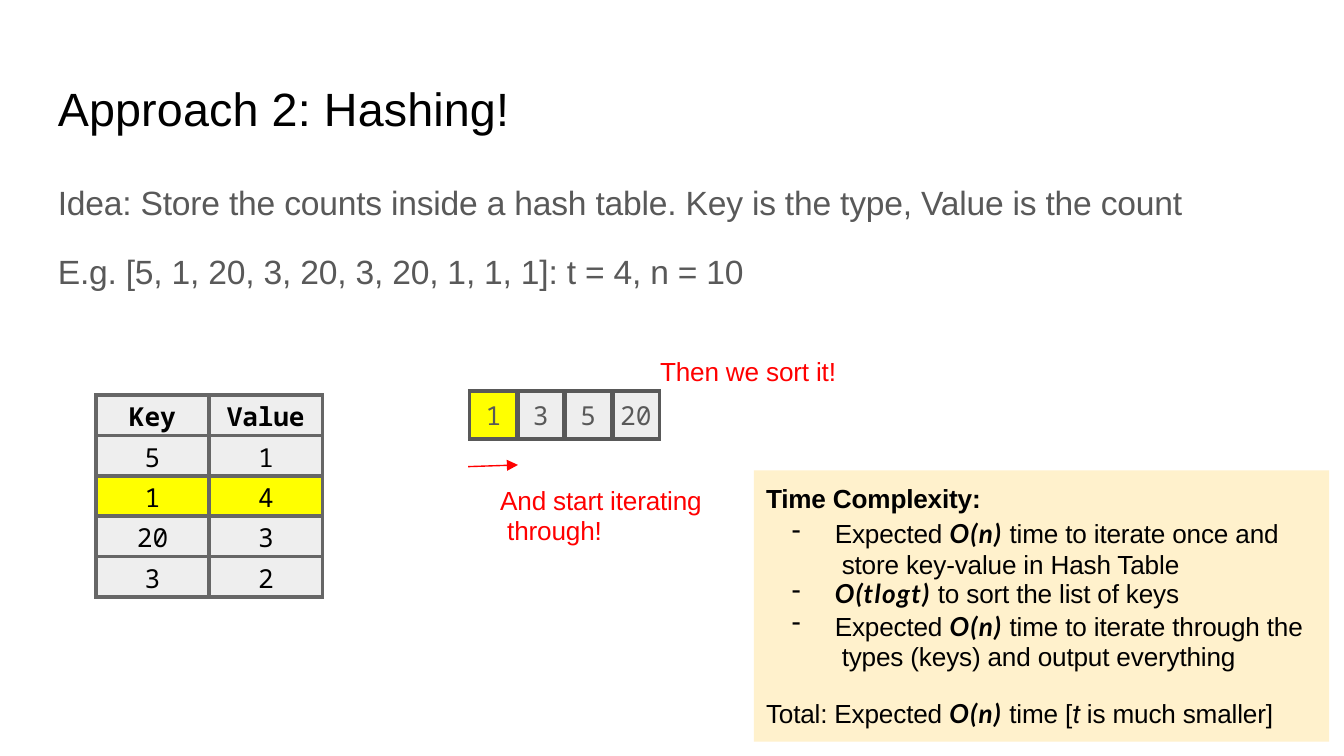
from dataclasses import dataclass

from lxml import etree
from pptx import Presentation
from pptx.dml.color import RGBColor
from pptx.enum.shapes import MSO_CONNECTOR, MSO_SHAPE
from pptx.enum.text import MSO_ANCHOR, PP_ALIGN
from pptx.oxml.ns import qn
from pptx.util import Pt

LEFT, CENTER = PP_ALIGN.LEFT, PP_ALIGN.CENTER
TOP = MSO_ANCHOR.TOP
RECTANGLE = MSO_SHAPE.RECTANGLE
STRAIGHT = MSO_CONNECTOR.STRAIGHT


@dataclass(frozen=True)
class Theme:
    black: str = "000000"
    gray: str = "595959"
    grid: str = "666666"
    cell: str = "EEEEEE"
    yellow: str = "FFFF00"
    red: str = "FF0000"
    cream: str = "FFF1CC"
    sans: str = "Arial"
    mono: str = "Noto Sans Mono"
    math: str = "Lato"
    variable: str = "Roboto"
    title: float = 25
    body: float = 18
    small: float = 14


theme = Theme()


def style(size, color, name=theme.sans, bold=False, italic=False, tracking=-0.1):
    font = {"size": Pt(size), "name": name, "bold": bold, "italic": italic}
    return font, color, tracking


HEADING = style(theme.title, theme.black, tracking=0.1)
BODY = style(theme.body, theme.gray)
NOTE = style(theme.small, theme.red)
PLAIN = style(theme.small, theme.black)
BOLD = style(theme.small, theme.black, bold=True)
BIG_O = style(theme.small, theme.black, theme.math, True, True, 0.7)
SYMBOL = style(theme.small, theme.black, theme.variable, italic=True)
KEY_HEAD = style(theme.small, theme.black, theme.mono, bold=True)
KEY_CELL = style(theme.small, theme.black, theme.mono, tracking=0)
SORTED_CELL = style(theme.small, theme.gray, theme.mono, tracking=0)


def write(frame, paragraphs, top):
    """Fill a frame with (spans, paragraph format, indents) entries."""
    settings = {"word_wrap": True, "vertical_anchor": TOP, "margin_left": 0,
                "margin_right": 0, "margin_bottom": 0, "margin_top": Pt(top)}
    for name, value in settings.items():
        setattr(frame, name, value)
    for index, (spans, layout, indents) in enumerate(paragraphs):
        para = frame.add_paragraph() if index else frame.paragraphs[0]
        for name, value in layout.items():
            setattr(para, name, value)
        for name, value in indents.items():
            para._p.get_or_add_pPr().set(name, str(Pt(value)))
        for text, (font, color, tracking) in spans:
            if text == "\n":
                para.add_line_break()
                continue
            span = para.add_run()
            span.text = text
            for name, value in font.items():
                setattr(span.font, name, value)
            span.font.color.rgb = RGBColor.from_string(color)
            span.font._element.set("spc", str(round(tracking * 100)))


deck = Presentation()
deck.slide_width, deck.slide_height = Pt(720), Pt(405)
page = deck.slides.add_slide(deck.slide_layouts[5])

# Title
title = page.shapes.title
title.left, title.top, title.width, title.height = Pt(31), Pt(39.6), Pt(250), Pt(32.4)
write(title.text_frame,
      [([("Approach 2: Hashing!", HEADING)], {"alignment": LEFT}, {})], 3)

# Panel behind the time complexity notes
panel = page.shapes.add_shape(RECTANGLE, Pt(403.9), Pt(252), Pt(308.2), Pt(145.4))
panel.shadow.inherit = False
panel.fill.solid()
panel.fill.fore_color.rgb = RGBColor.from_string(theme.cream)
panel.line.fill.background()

# Text boxes: left, top, width, height, top inset, paragraphs
fixed = {"line_spacing": Pt(16.5)}
hanging = {"marL": 24, "indent": -23}
bullets = [
    ([("Expected ", PLAIN), ("O(n) ", BIG_O), ("time to iterate once and", PLAIN),
      ("\n", PLAIN), (" store key-value in Hash Table", PLAIN)], fixed, hanging),
    ([("O(tlogt) ", BIG_O), ("to sort the list of keys", PLAIN)],
     {"line_spacing": Pt(15.8)}, hanging),
    ([("Expected ", PLAIN), ("O(n) ", BIG_O), ("time to iterate through the", PLAIN),
      ("\n", PLAIN), (" types (keys) and output everything", PLAIN)],
     {**fixed, "space_before": Pt(0.7)}, hanging),
]
boxes = [
    (31, 95.8, 620, 111.6, 1.7, [
        ([("Idea: Store the counts inside a hash table. Key is the type, "
           "Value is the count", BODY)], {}, {}),
        ([("E.g. [5, 1, 20, 3, 20, 3, 20, 1, 1, 1]: t = 4, n = 10", BODY)],
         {"space_before": Pt(15.2)}, {}),
        ([("Then we sort it!", NOTE)], {"space_before": Pt(34.6)}, {"marL": 322.6})]),
    (268, 255.6, 116, 35.3, 4, [
        ([("And start iterating", NOTE), ("\n", NOTE), (" through!", NOTE)], fixed, {})]),
    (410.4, 257, 122, 18.7, 1.7, [([("Time Complexity:", BOLD)], {}, {})]),
    (423.2, 273.6, 282, 85, 4, bullets),
    (410.4, 372.2, 282, 18.7, 1.7, [
        ([("Total: Expected ", PLAIN), ("O(n) ", BIG_O), ("time [", PLAIN),
          ("t ", SYMBOL), ("is much smaller]", PLAIN)], {}, {})]),
]
for left, top, width, height, inset, paragraphs in boxes:
    box = page.shapes.add_textbox(Pt(left), Pt(top), Pt(width), Pt(height))
    write(box.text_frame, paragraphs, inset)
    if paragraphs is bullets:
        for para in box.text_frame.paragraphs:
            mark = etree.SubElement(para._p.get_or_add_pPr(), qn("a:buChar"))
            mark.set("char", "-")

# Hash table and sorted keys: left, top, cell width, row height, inset,
# border colour, highlighted (row, column) cells, head style, cell style, rows
tables = [
    (51.4, 211.7, 60.7, 21.6, 2, theme.grid, [(2, 0), (2, 1)], KEY_HEAD, KEY_CELL,
     [["Key", "Value"], ["5", "1"], ["1", "4"], ["20", "3"], ["3", "2"]]),
    (251.6, 209.6, 25.45, 25.5, 3.6, theme.gray, [(0, 0)], SORTED_CELL, SORTED_CELL,
     [["1", "3", "5", "20"]]),
]
for left, top, width, height, inset, border, marked, head, plain, rows in tables:
    count = len(rows[0])
    grid = page.shapes.add_table(len(rows), count, Pt(left), Pt(top),
                                 Pt(width * count), Pt(height * len(rows))).table
    for column in grid.columns:
        column.width = Pt(width)
    for r, row in enumerate(rows):
        grid.rows[r].height = Pt(height)
        for c, text in enumerate(row):
            cell = grid.cell(r, c)
            write(cell.text_frame,
                  [([(text, plain if r else head)], {"alignment": CENTER}, {})], inset)
            cell.margin_left = cell.margin_right = cell.margin_bottom = 0
            cell.margin_top = Pt(inset)
            cell.vertical_anchor = TOP
            properties = cell._tc.get_or_add_tcPr()
            for side in ("L", "R", "T", "B"):
                inner = count == 4 and (side == "L" and c > 0 or side == "R" and c < 3)
                edge = etree.SubElement(properties, qn(f"a:ln{side}"),
                                        w=str(Pt(3 if inner else 2.25)))
                paint = etree.SubElement(edge, qn("a:solidFill"))
                etree.SubElement(paint, qn("a:srgbClr"), val=border)
            cell.fill.solid()
            color = theme.yellow if (r, c) in marked else theme.cell
            cell.fill.fore_color.rgb = RGBColor.from_string(color)

# Iteration arrow
arrow = page.shapes.add_connector(STRAIGHT, Pt(250.8), Pt(250), Pt(277.5), Pt(249.1))
arrow.line.color.rgb = RGBColor.from_string(theme.red)
arrow.line.width = Pt(0.75)
etree.SubElement(arrow.line._get_or_add_ln(), qn("a:tailEnd"), type="triangle")
etree.SubElement(arrow._element.spPr, qn("a:effectLst"))

deck.save("out.pptx")
